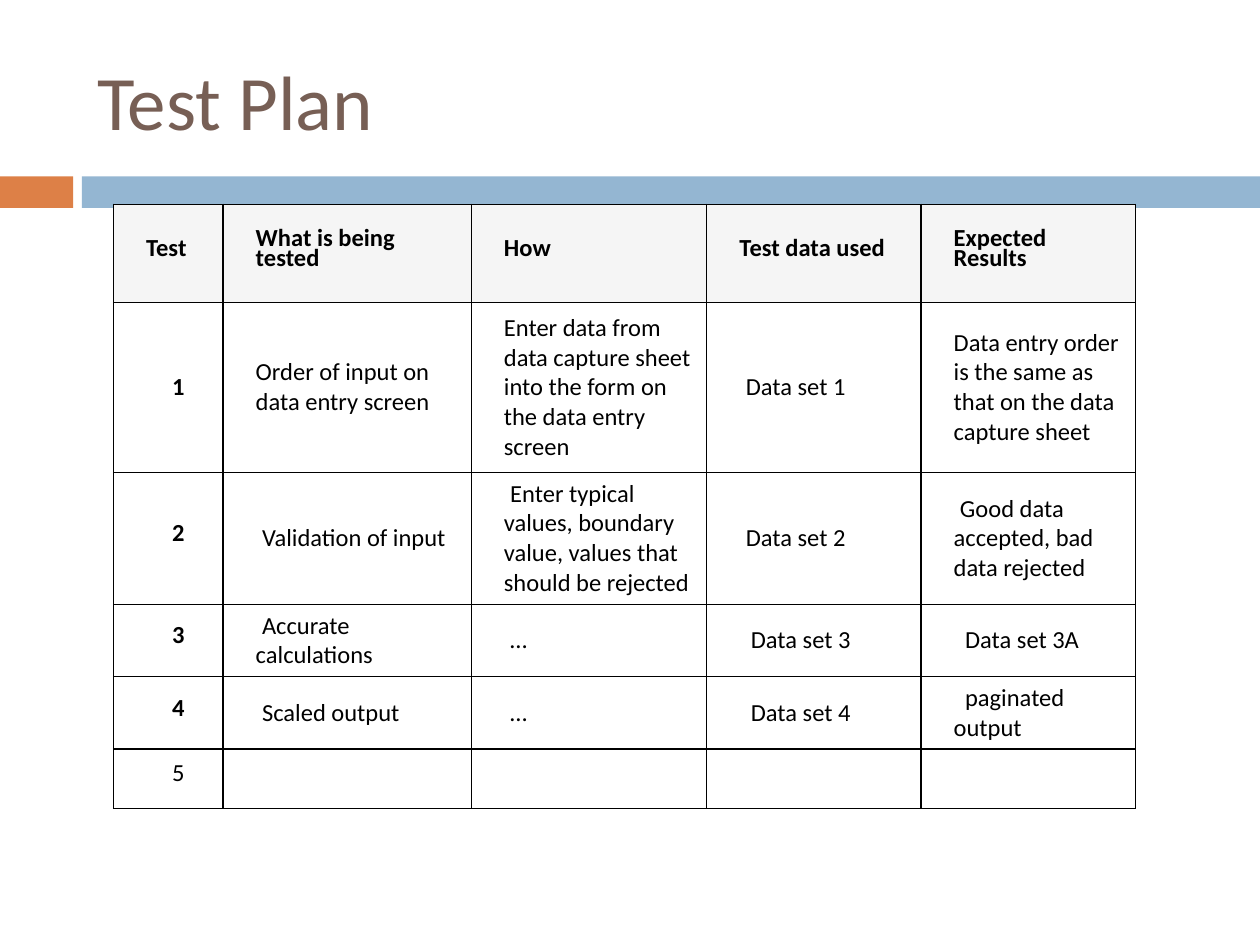
from lxml import etree
from pptx import Presentation
from pptx import util as u
from pptx.dml.color import RGBColor
from pptx.enum import shapes, text
from pptx.oxml.ns import qn

COLORS = {
    "title": "775F55",
    "accent": "DD8047",
    "band": "94B6D2",
    "header": "F5F5F5",
    "ink": "000000",
}
FONT = "Calibri"
COLUMNS = [0.87, 1.97, 1.87, 1.7, 1.7]
ROWS = [0.78, 1.35, 1.02, 0.47, 0.47, 0.47]
HEADERS = ["Test", "What is being tested", "How", "Test data used", "Expected Results"]
TESTS = [
    ["1", "Order of input on data entry screen",
     "Enter data from data capture sheet into the form on the data entry screen",
     "Data set 1",
     "Data entry order is the same as that on the data capture sheet"],
    ["2", "Validation of input",
     "Enter typical values, boundary value, values that should be rejected",
     "Data set 2", "Good data accepted, bad data rejected"],
    ["3", "Accurate calculations", "…", "Data set 3", "Data set 3A"],
    ["4", "Scaled output", "…", "Data set 4", "paginated output"],
    ["5", "", "", "", ""],
]
FIRST_LINE = [
    [0, 0, 0, 0.05, 0],
    [0, 0.05, 0.05, 0.05, 0.05],
    [0, 0.05, 0.05, 0.09, 0.09],
    [0, 0.05, 0.05, 0.09, 0.09],
    [0, 0, 0, 0, 0],
]


def rgb(name):
    """Return the named palette colour."""
    return RGBColor.from_string(COLORS[name])


def write(tf, content, size=14, color="ink", bold=False, align=text.PP_ALIGN.LEFT,
          spacing=None, margin=0, first_line=0):
    """Write one formatted paragraph into a text frame."""
    p = tf.paragraphs[0]
    p.alignment = align
    if spacing:
        p.line_spacing = u.Pt(spacing)
    pPr = p._p.get_or_add_pPr()
    pPr.set("marL", str(u.Inches(margin)))
    pPr.set("indent", str(u.Inches(first_line)))
    r = p.add_run()
    r.text = content
    r.font.name = FONT
    r.font.size = u.Pt(size)
    r.font.bold = bold
    r.font.color.rgb = rgb(color)


def set_borders(cell, width=0.75):
    """Draw a solid line on all four sides of a cell."""
    tcPr = cell._tc.get_or_add_tcPr()
    for side in ("lnL", "lnR", "lnT", "lnB"):
        ln = etree.SubElement(tcPr, qn(f"a:{side}"), w=str(u.Pt(width)))
        fill = etree.SubElement(ln, qn("a:solidFill"))
        etree.SubElement(fill, qn("a:srgbClr"), val=COLORS["ink"])


def add_title(s, left, top, width, height):
    """Place and fill the title placeholder."""
    sp = s.shapes.title
    sp.left, sp.top, sp.width, sp.height = map(u.Inches, (left, top, width, height))
    sp.text_frame.vertical_anchor = text.MSO_ANCHOR.MIDDLE
    write(sp.text_frame, "Test Plan", size=44, color="title")


def add_band(s, left, top, width, height, accent=0.58, gap=0.07):
    """Draw the accent block and the long bar beside it."""
    bar = accent + gap
    for x, w, color in ((left, accent, "accent"), (left + bar, width - bar, "band")):
        sp = s.shapes.add_shape(shapes.MSO_SHAPE.RECTANGLE, u.Inches(x), u.Inches(top),
                                u.Inches(w), u.Inches(height))
        sp.shadow.inherit = False
        sp.fill.solid()
        sp.fill.fore_color.rgb = rgb(color)
        sp.line.fill.background()


def add_test_table(s, left, top, width, height):
    """Build the test plan table."""
    table = s.shapes.add_table(len(ROWS), len(COLUMNS), u.Inches(left), u.Inches(top),
                               u.Inches(width), u.Inches(height)).table
    table.first_row = True
    table.horz_banding = False
    for column, w in zip(table.columns, COLUMNS):
        column.width = u.Inches(w)
    for row, h in zip(table.rows, ROWS):
        row.height = u.Inches(h)
    for i, values in enumerate([HEADERS] + TESTS):
        for j, value in enumerate(values):
            cell = table.cell(i, j)
            cell.vertical_anchor = text.MSO_ANCHOR.MIDDLE
            set_borders(cell)
            if i == 0:
                cell.fill.solid()
                cell.fill.fore_color.rgb = rgb("header")
                style = dict(bold=True, spacing=11.2)
            else:
                cell.fill.background()
                style = dict(first_line=FIRST_LINE[i - 1][j])
                if j == 0:
                    style.update(align=text.PP_ALIGN.CENTER, bold=value != "5",
                                 spacing=None if i == 1 else 11.2)
            if value:
                write(cell.text_frame, value, margin=0.16, **style)


def main():
    """Build and save the slide."""
    prs = Presentation()
    prs.slide_width, prs.slide_height = u.Inches(10), u.Inches(7.5)
    s = prs.slides.add_slide(prs.slide_layouts[5])
    add_band(s, 0, 1.4, 10, 0.25)
    add_title(s, 0.67, 0.25, 8.92, 1.08)
    add_test_table(s, 0.9, 1.62, sum(COLUMNS), sum(ROWS))
    prs.save("out.pptx")


if __name__ == "__main__":
    main()
